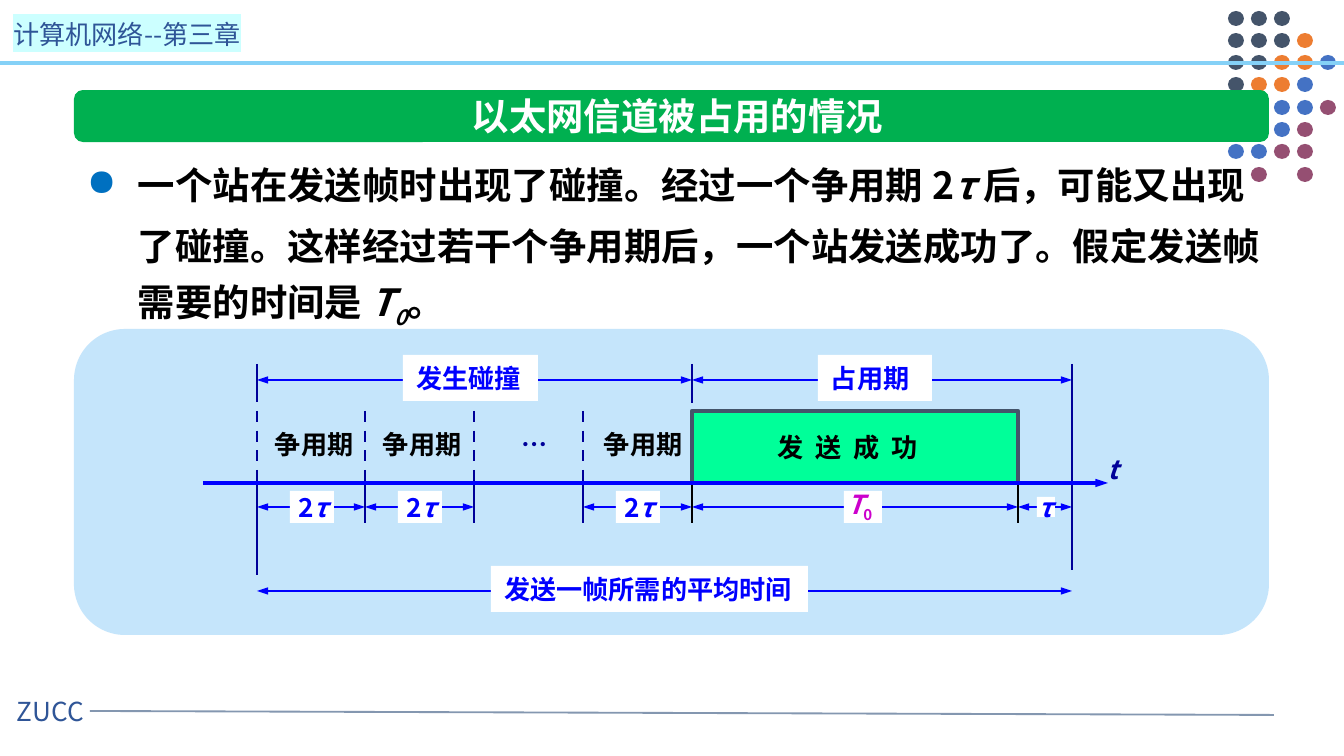
import lxml.etree
import pptx
import pptx.dml.color
import pptx.enum.dml
import pptx.enum.shapes
import pptx.enum.text
import pptx.oxml.ns
import pptx.util

RGBColor = pptx.dml.color.RGBColor
SHAPE = pptx.enum.shapes.MSO_SHAPE
ANCHOR = pptx.enum.text.MSO_ANCHOR
ALIGN = pptx.enum.text.PP_ALIGN

EMU_PER_PX = 914400 / 134.4
FONT = "Noto Sans CJK SC"

WHITE = RGBColor(0xFF, 0xFF, 0xFF)
BLACK = RGBColor(0x00, 0x00, 0x00)
BLUE = RGBColor(0x00, 0x00, 0xFF)
NAVY = RGBColor(0x00, 0x00, 0x99)
MAGENTA = RGBColor(0xCC, 0x00, 0xCC)
MINT = RGBColor(0x00, 0xFF, 0x99)
GREEN = RGBColor(0x00, 0xB0, 0x50)
PANEL = RGBColor(0xC5, 0xE5, 0xFB)
SKY = RGBColor(0x85, 0xD1, 0xF7)
GREY = RGBColor(0x84, 0x97, 0xB0)
SLATE = RGBColor(0x44, 0x54, 0x6A)
BRAND = RGBColor(0x2F, 0x55, 0x97)

DOT_COLORS = {
    "S": SLATE,
    "O": RGBColor(0xED, 0x7D, 0x31),
    "B": RGBColor(0x44, 0x72, 0xC4),
    "P": RGBColor(0x95, 0x4F, 0x72),
}
DOT_ROWS = ["SSS", "SSSO", "SSOOB", "SOOB", "-OBBP", "-BBP", "BBPP", "-P-P"]

SLOTS = [257 + 435 * i // 4 for i in range(5)]
START, BUSY = SLOTS[0], SLOTS[-1]
SENT, END = 1018, 1072
AXIS_Y, SLOT_TOP = 483, 411


def px(value):
    """Turn pixels into EMU."""
    return pptx.util.Emu(round(value * EMU_PER_PX))


def add_child(parent, tag, **attributes):
    """Append a DrawingML element and return it."""
    return lxml.etree.SubElement(parent, pptx.oxml.ns.qn(tag), attributes)


def add_block(slide, kind, box, fill):
    """Add a borderless filled preset shape."""
    shape = slide.shapes.add_shape(kind, *map(px, box))
    shape.shadow.inherit = False
    shape.fill.solid()
    shape.fill.fore_color.rgb = fill
    shape.line.fill.background()
    return shape


def add_line(slide, start, end, color, width, dashed=False, arrows=()):
    """Add a straight line with optional dashes and arrowheads."""
    line = slide.shapes.add_connector(
        pptx.enum.shapes.MSO_CONNECTOR.STRAIGHT, *map(px, start + end))
    line.line.color.rgb = color
    line.line.width = pptx.util.Pt(width)
    if dashed:
        line.line.dash_style = pptx.enum.dml.MSO_LINE.DASH
    for arrow in arrows:
        add_child(line.line._get_or_add_ln(), arrow, type="triangle", w="sm", len="med")
    add_child(line._element.spPr, "a:effectLst")


def add_span(slide, left, right, y):
    """Add a double-headed dimension line."""
    add_line(slide, (left, y), (right, y), BLUE, 1.5, arrows=("a:headEnd", "a:tailEnd"))


def write(shape, runs, color, size=14, bold=True, align=ALIGN.LEFT,
          anchor=ANCHOR.MIDDLE, spacing=None):
    """Fill a shape with one paragraph of (text, italic) runs."""
    frame = shape.text_frame
    frame.word_wrap = True
    frame.auto_size = pptx.enum.text.MSO_AUTO_SIZE.NONE
    frame.vertical_anchor = anchor
    frame.margin_left = px(13)
    frame.margin_right = frame.margin_top = frame.margin_bottom = 0
    paragraph = frame.paragraphs[0]
    paragraph.alignment = align
    for text, italic in runs:
        run = paragraph.add_run()
        run.text = text
        if italic:
            run.font.italic = True
    font = paragraph.font
    font.size, font.bold, font.name = pptx.util.Pt(size), bold, FONT
    font.color.rgb = color
    properties = paragraph._p.pPr.find(pptx.oxml.ns.qn("a:defRPr"))
    add_child(properties, "a:ea", typeface=FONT)
    if spacing:
        for run in paragraph.runs:
            run.font._element.set("spc", str(spacing))
    return paragraph


def add_text(slide, box, runs, color, **style):
    """Add a text box holding one paragraph."""
    return write(slide.shapes.add_textbox(*map(px, box)), runs, color, **style)


def subscript(run):
    """Lower a run below the baseline."""
    run.font._element.set("baseline", "-25000")


def add_frame(slide):
    """Add the header, the footer and the dot ornament."""
    add_line(slide, (90, 711), (1274, 715), GREY, 1)
    add_text(slide, (4, 688, 120, 46), [("ZUCC", False)], BRAND, bold=False)
    header = add_text(slide, (0, 11, 290, 46), [("计算机网络--第三章", False)], BRAND, bold=False)
    highlight = add_child(header.runs[0].font._element, "a:highlight")
    add_child(highlight, "a:srgbClr", val="CCFFFF")
    for row, codes in enumerate(DOT_ROWS):
        for column, code in enumerate(codes):
            if code in DOT_COLORS:
                box = (1228 + 23 * column, 11 + 156 * row // 7, 16, 15)
                add_block(slide, SHAPE.OVAL, box, DOT_COLORS[code])
    add_line(slide, (0, 63), (1344, 63), SKY, 2)


def add_body(slide):
    """Add the bulleted explanation."""
    runs = [("一个站在发送帧时出现了碰撞。经过一个争用期 2", False), ("τ ", True),
            ("后，可能又出现了碰撞。这样经过若干个争用期后，一个站发送成功了。"
             "假定发送帧需要的时间是 ", False),
            ("T", True), ("0", True), ("。", False)]
    shape = slide.shapes.add_textbox(*map(px, (74, 138, 1195, 200)))
    properties = shape.text_frame.paragraphs[0]._p.get_or_add_pPr()
    properties.set("marL", str(px(51)))
    properties.set("indent", str(px(-51)))
    color = add_child(properties, "a:buClr")
    add_child(color, "a:srgbClr", val="0070C0")
    add_child(properties, "a:buChar", char="●")
    paragraph = write(shape, runs, BLACK, size=20, anchor=ANCHOR.TOP)
    paragraph.line_spacing = pptx.util.Pt(33)
    shape.text_frame.margin_top = shape.text_frame.margin_right = px(7)
    subscript(paragraph.runs[4])


def add_title(slide):
    """Add the green banner and put the title on it."""
    banner = add_block(slide, SHAPE.ROUNDED_RECTANGLE, (74, 90, 1195, 52), GREEN)
    banner.adjustments[0] = 0.17
    title = slide.shapes.title
    title.left, title.top, title.width, title.height = map(px, (450, 86, 442, 60))
    write(title, [("以太网信道被占用的情况", False)], WHITE, size=20, align=ALIGN.CENTER)
    slide.shapes._spTree.append(title._element)


def add_diagram(slide):
    """Add the channel occupancy timeline."""
    add_block(slide, SHAPE.ROUNDED_RECTANGLE, (74, 329, 1195, 306), PANEL)
    spans = [(START, END, 591), (START, BUSY, 380), (BUSY, END, 380),
             (SENT, END, 507), (BUSY, SENT, 507)]
    spans += [(SLOTS[i], SLOTS[i + 1], 507) for i in (0, 1, 3)]
    for span in spans:
        add_span(slide, *span)

    builder = slide.shapes.build_freeform(BUSY, AXIS_Y, scale=EMU_PER_PX)
    builder.add_line_segments([(BUSY, SLOT_TOP), (SENT, SLOT_TOP), (SENT, AXIS_Y)], close=False)
    success = builder.convert_to_shape()
    success.shadow.inherit = False
    success.fill.solid()
    success.fill.fore_color.rgb = MINT
    success.line.color.rgb = SLATE
    success.line.width = pptx.util.Pt(2.25)
    add_text(slide, (765, 424, 187, 46), [("发 送 成 功", False)], BLACK, spacing=155)

    for x in SLOTS[:-1]:
        add_line(slide, (x, SLOT_TOP), (x, AXIS_Y), NAVY, 1.5, dashed=True)
    for x, color in [(x, NAVY) for x in SLOTS[1:-1]] + [(BUSY, BLACK), (SENT, BLACK)]:
        add_line(slide, (x, AXIS_Y), (x, 523), color, 0.75)
    for x, top, bottom in [(START, 364, 402), (START, 480, 575),
                           (BUSY, 364, 403), (END, 364, 570)]:
        add_line(slide, (x, top), (x, bottom), NAVY, 1.5)
    add_line(slide, (203, AXIS_Y), (1108, AXIS_Y), BLUE, 2.25, arrows=("a:tailEnd",))

    for box, text in [((818, 355, 114, 46), "占用期"), ((403, 355, 135, 46), "发生碰撞"),
                      ((491, 566, 317, 46), "发送一帧所需的平均时间")]:
        write(add_block(slide, SHAPE.RECTANGLE, box, WHITE), [(text, False)], BLUE)
    for x in (262, 370, 591):
        add_text(slide, (x, 421, 114, 46), [("争用期", False)], BLACK)
    add_text(slide, (509, 421, 52, 46), [("…", False)], NAVY)
    for i in (0, 1, 3):
        add_block(slide, SHAPE.RECTANGLE, (SLOTS[i] + 33, 491, 44, 32), WHITE)
        add_text(slide, (SLOTS[i] + 28, 484, 63, 46), [("2", False), ("τ", True)], BLUE)
    add_block(slide, SHAPE.RECTANGLE, (844, 491, 38, 32), WHITE)
    frame_time = add_text(slide, (834, 483, 55, 46), [("T", True), ("0", False)], MAGENTA)
    subscript(frame_time.runs[1])
    add_block(slide, SHAPE.RECTANGLE, (1037, 497, 18, 20), WHITE)
    add_text(slide, (1025, 484, 39, 46), [("τ", True)], BLUE)
    add_text(slide, (1095, 446, 38, 46), [("t", True)], NAVY)


def main():
    """Build and save the slide."""
    presentation = pptx.Presentation()
    presentation.slide_width, presentation.slide_height = px(1344), px(756)
    slide = presentation.slides.add_slide(presentation.slide_layouts[5])
    add_frame(slide)
    add_body(slide)
    add_title(slide)
    add_diagram(slide)
    presentation.save("out.pptx")


if __name__ == "__main__":
    main()
